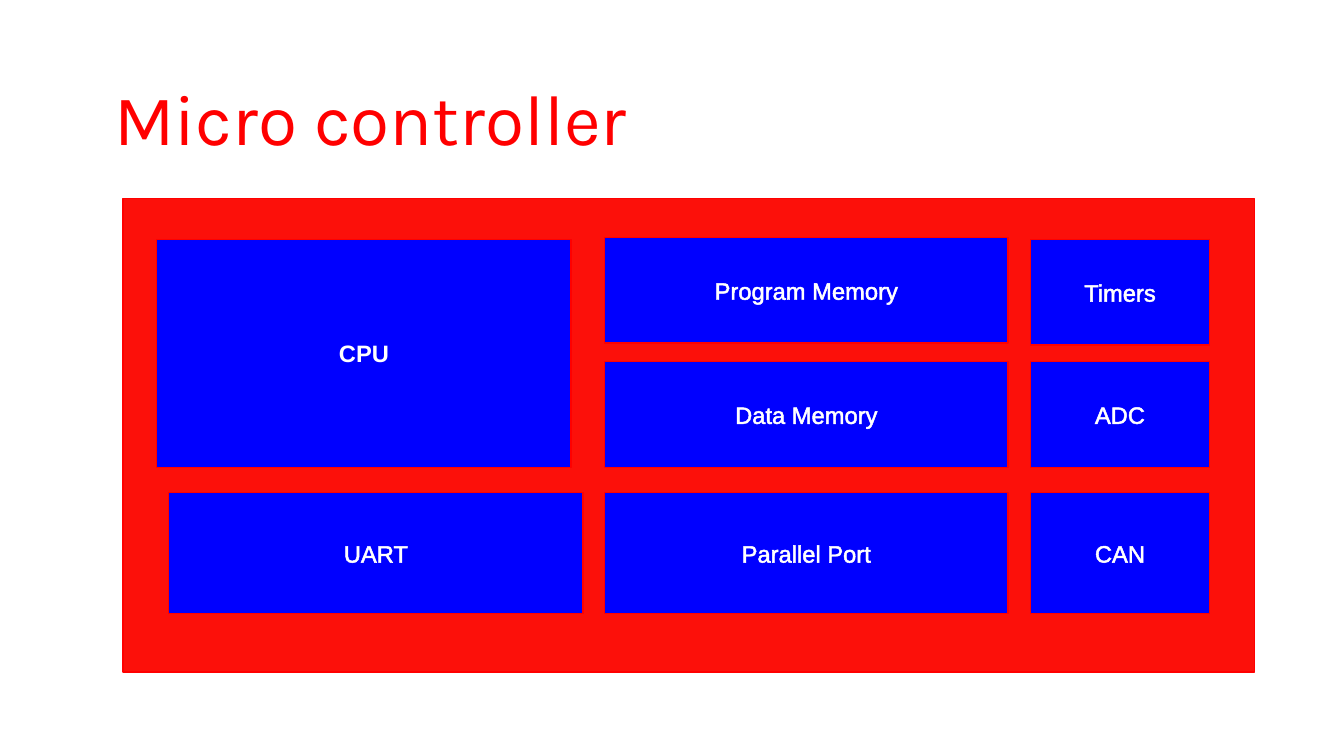
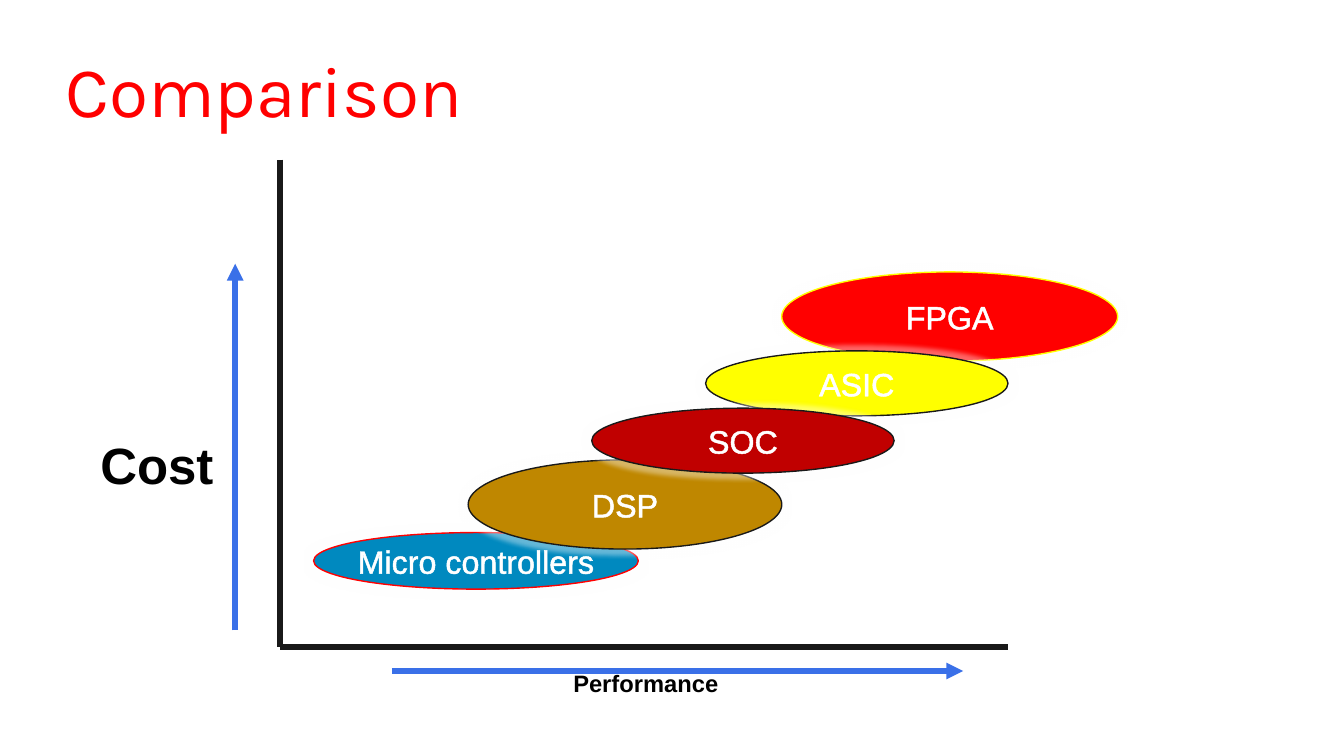
from dataclasses import dataclass

from lxml.etree import SubElement
from pptx import Presentation
from pptx.dml.color import RGBColor
from pptx.enum.shapes import MSO_CONNECTOR as Link, MSO_SHAPE as Preset
from pptx.enum.text import MSO_ANCHOR as Anchor, PP_ALIGN as Align
from pptx.oxml.ns import qn
from pptx.util import Pt

RED = "FF0000"
BLUE = "0000FF"
INK = "191919"
ARROW = "3A70E8"
WHITE = "FFFFFF"
BLACK = "000000"
YELLOW = "FFFF00"


@dataclass(frozen=True)
class Box:
    left: float
    top: float
    width: float
    height: float


@dataclass(frozen=True)
class Style:
    size: float
    color: str
    font: str = "Arial"
    bold: bool = False
    outlined: bool = False


@dataclass(frozen=True)
class Block:
    text: str
    box: Box
    style: Style
    fill: str = BLUE
    line: str = RED


@dataclass(frozen=True)
class Axis:
    start: tuple[float, float]
    end: tuple[float, float]
    color: str
    arrow: bool = False


TITLE = Style(38.2, RED, "Karla")
UNIT = Style(12.7, WHITE, outlined=True)
CORE = Style(12.7, WHITE, bold=True)
DEVICE = Style(17.3, WHITE, outlined=True)
COST = Style(27.3, BLACK, bold=True)
PERFORMANCE = Style(12.7, BLACK, bold=True)

PANEL = Box(66, 106.5, 606, 253.5)
MEMORY_X, MEMORY_W = 324, 216
PERIPHERAL_X, PERIPHERAL_W = 552, 96
CORE_W = 222
UPPER_Y, MIDDLE_Y, LOWER_Y = 128.2, 193.7, 263.9
UNIT_H, LOWER_H = 56.7, 64.9

UNITS = [
    Block("UART", Box(90.4, LOWER_Y, CORE_W, LOWER_H), UNIT),
    Block("CPU", Box(84, UPPER_Y, CORE_W, MIDDLE_Y + UNIT_H - UPPER_Y), CORE),
    Block("Parallel Port", Box(MEMORY_X, LOWER_Y, MEMORY_W, LOWER_H), UNIT),
    Block("Program Memory", Box(MEMORY_X, 127.2, MEMORY_W, UNIT_H), UNIT),
    Block("Data Memory", Box(MEMORY_X, MIDDLE_Y, MEMORY_W, UNIT_H), UNIT),
    Block("Timers", Box(PERIPHERAL_X, UPPER_Y, PERIPHERAL_W, UNIT_H), UNIT),
    Block("ADC", Box(PERIPHERAL_X, MIDDLE_Y, PERIPHERAL_W, UNIT_H), UNIT),
    Block("CAN", Box(PERIPHERAL_X, LOWER_Y, PERIPHERAL_W, LOWER_H), UNIT),
]

DEVICES = [
    Block("Micro controllers", Box(168, 285.3, 174, 30.3), DEVICE, "0089BF"),
    Block("DSP", Box(250.8, 246.4, 168, 47.8), DEVICE, "BF8700", INK),
    Block("FPGA", Box(418.8, 145.7, 180, 47.8), DEVICE, RED, YELLOW),
    Block("ASIC", Box(378, 188, 162, 34.8), DEVICE, YELLOW, INK),
    Block("SOC", Box(317, 218.7, 162, 34.8), DEVICE, "C00000", INK),
]

ORIGIN = (150, 346.5)
AXES = [
    Axis((150, 85.5), ORIGIN, INK),
    Axis(ORIGIN, (540, 346.5), INK),
    Axis((210, 359.5), (516, 359.5), ARROW, True),
    Axis((126, 337.7), (126, 141.3), ARROW, True),
]


def rgb(value: str) -> RGBColor:
    return RGBColor.from_string(value)


def points(box: Box) -> list[Pt]:
    return [Pt(v) for v in (box.left, box.top, box.width, box.height)]


def write(shape, text: str, style: Style, align: Align) -> None:
    paragraph = shape.text_frame.paragraphs[0]
    run = paragraph.add_run()
    run.text = text
    paragraph.alignment = align
    font = paragraph.font
    font.name, font.size, font.bold = style.font, Pt(style.size), style.bold
    font.color.rgb = rgb(style.color)
    if style.outlined:
        outline = SubElement(run.font._element, qn("a:ln"), w=str(Pt(1.45)))
        fill = SubElement(outline, qn("a:solidFill"))
        SubElement(fill, qn("a:srgbClr"), val=style.color)


def add_filled(slide, preset: Preset, box: Box, fill: str, line: str):
    shape = slide.shapes.add_shape(preset, *points(box))
    shape.shadow.inherit = False
    shape.fill.solid()
    shape.fill.fore_color.rgb = rgb(fill)
    shape.line.color.rgb = rgb(line)
    shape.line.width = Pt(0.75)
    return shape


def add_block(slide, preset: Preset, block: Block):
    shape = add_filled(slide, preset, block.box, block.fill, block.line)
    shape.text_frame.word_wrap = False
    shape.text_frame.vertical_anchor = Anchor.MIDDLE
    write(shape, block.text, block.style, Align.CENTER)
    return shape


def add_glow(shape) -> None:
    effects = shape._element.spPr.find(qn("a:effectLst"))
    glow = SubElement(effects, qn("a:glow"), rad=str(Pt(5)))
    color = SubElement(glow, qn("a:srgbClr"), val=WHITE)
    SubElement(color, qn("a:alpha"), val="40000")


def add_label(slide, text: str, box: Box, style: Style):
    label = slide.shapes.add_textbox(*points(box))
    label.text_frame.word_wrap = True
    label.text_frame.vertical_anchor = Anchor.MIDDLE
    write(label, text, style, Align.CENTER)


def add_title(slide, text: str, left: float, top: float) -> None:
    title = slide.shapes.add_textbox(*points(Box(left, top, 624, 48)))
    frame = title.text_frame
    frame.word_wrap = True
    frame.margin_top = frame.margin_bottom = Pt(7.2)
    write(title, text, TITLE, Align.LEFT)


def add_axis(slide, axis: Axis) -> None:
    ends = [Pt(v) for v in (*axis.start, *axis.end)]
    line = slide.shapes.add_connector(Link.STRAIGHT, *ends)
    line.line.color.rgb = rgb(axis.color)
    line.line.width = Pt(3)
    if axis.arrow:
        SubElement(line.line._get_or_add_ln(), qn("a:tailEnd"), type="triangle")
    SubElement(line._element.spPr, qn("a:effectLst"))


def add_slide(deck):
    slide = deck.slides.add_slide(deck.slide_layouts[6])
    slide.background.fill.solid()
    slide.background.fill.fore_color.rgb = rgb(WHITE)
    return slide


def build_microcontroller(deck) -> None:
    slide = add_slide(deck)
    add_filled(slide, Preset.RECTANGLE, PANEL, "FC100A", RED)
    for unit in UNITS:
        add_block(slide, Preset.RECTANGLE, unit)
    add_title(slide, "Micro controller", 54, 32.4)


def build_comparison(deck) -> None:
    slide = add_slide(deck)
    for axis in AXES:
        add_axis(slide, axis)
    add_title(slide, "Comparison", 28, 17.3)
    add_label(slide, "Cost", Box(-228, 224.6, 624, 48), COST)
    add_label(slide, "Performance", Box(18, 342, 656, 48), PERFORMANCE)
    for device in DEVICES:
        add_glow(add_block(slide, Preset.OVAL, device))


def main() -> None:
    deck = Presentation()
    deck.slide_width, deck.slide_height = Pt(720), Pt(405)
    build_microcontroller(deck)
    build_comparison(deck)
    deck.save("out.pptx")


if __name__ == "__main__":
    main()
